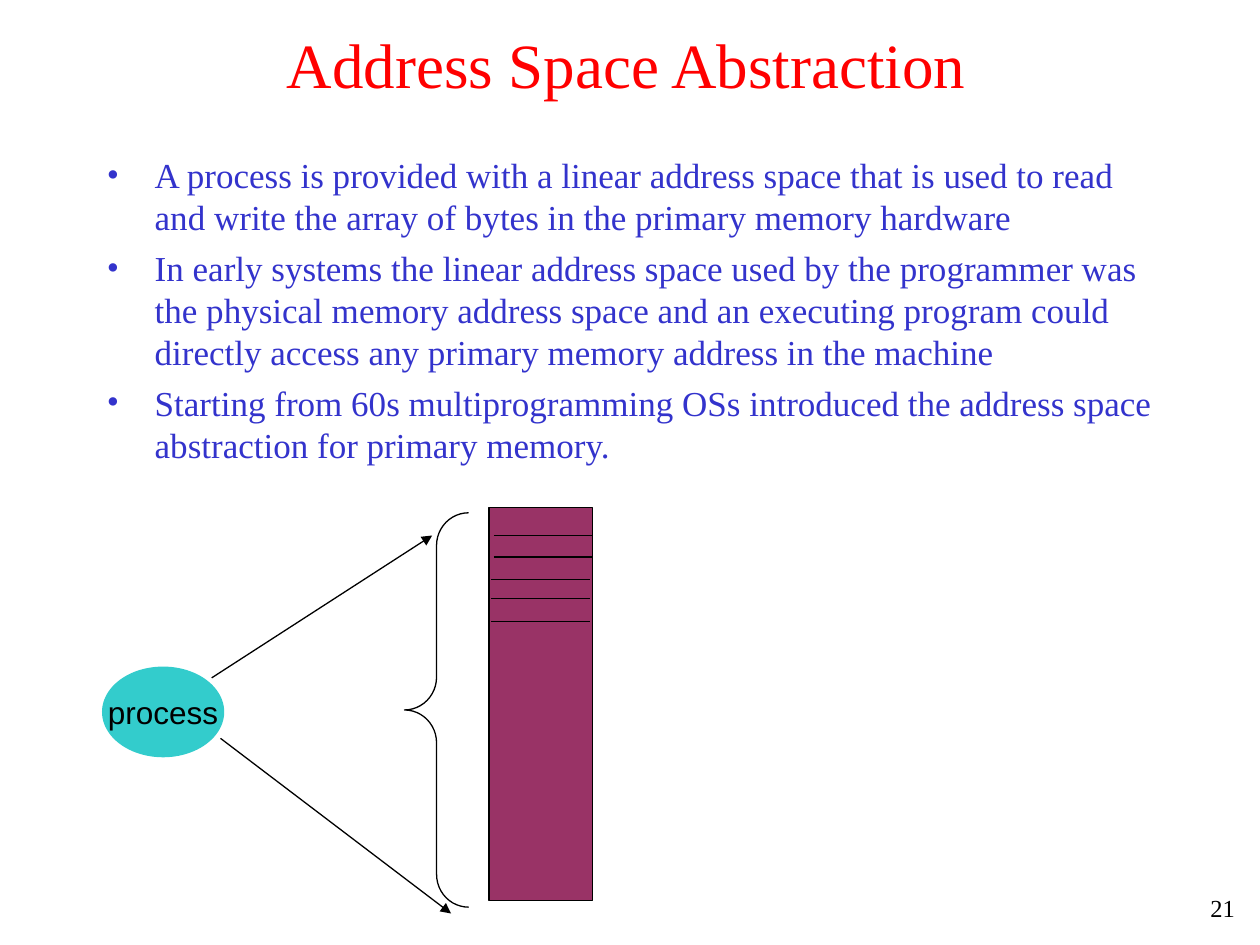
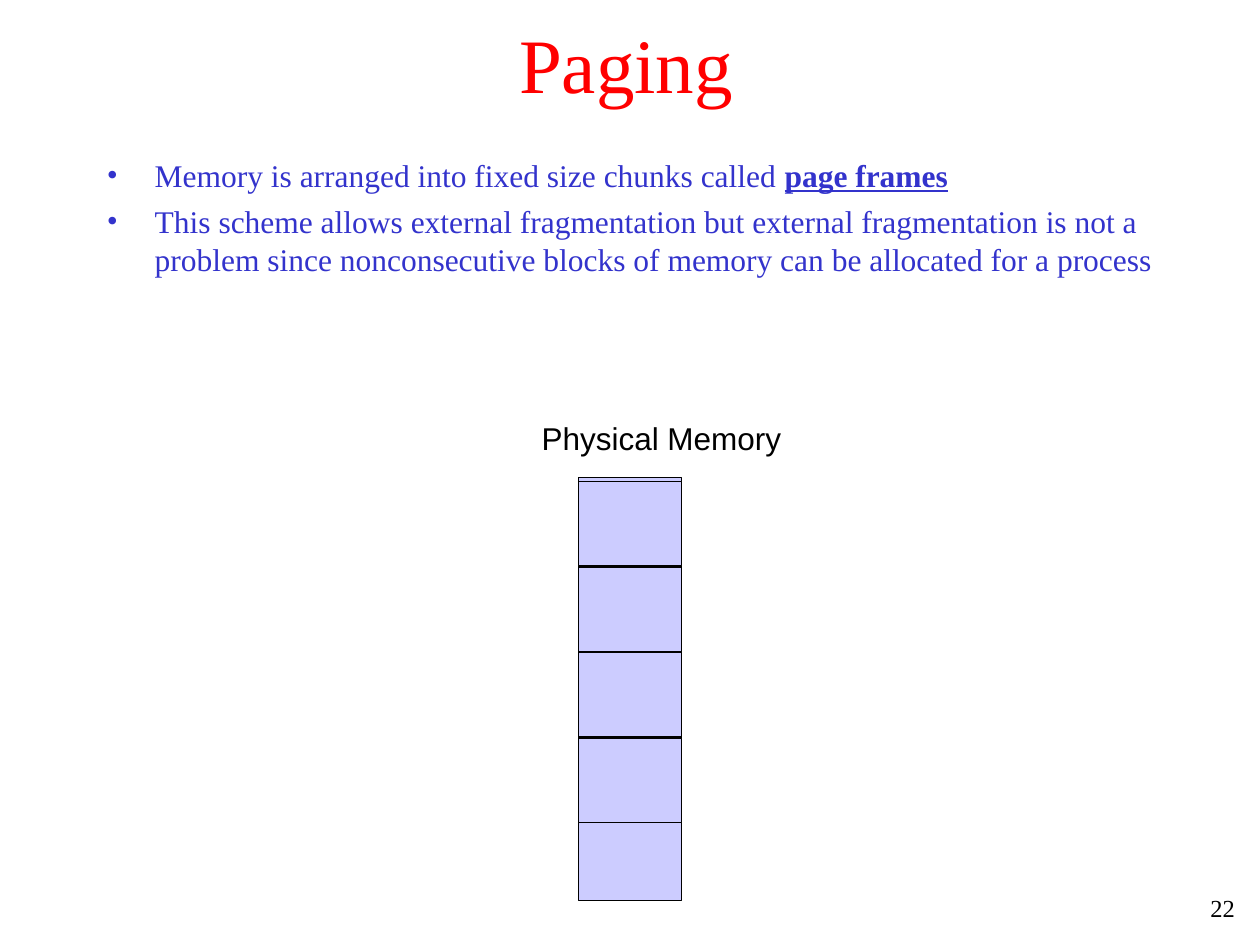
from lxml import etree
from pptx import Presentation
from pptx.dml.color import RGBColor
from pptx.enum import shapes, text
from pptx.oxml import ns
from pptx.util import Inches, Pt

RED = RGBColor(0xFF, 0x00, 0x00)
BLUE = RGBColor(0x33, 0x33, 0xCC)
BLACK = RGBColor(0x00, 0x00, 0x00)
PLUM = RGBColor(0x99, 0x33, 0x66)
TEAL = RGBColor(0x33, 0xCC, 0xCC)
LAVENDER = RGBColor(0xCC, 0xCC, 0xFF)
SERIF, SANS = "Times New Roman", "Arial"
LINE_WIDTH = Pt(0.75)
MEMORY_WIDTH = 0.82


def style(paragraph, font_name, size, color, align):
    paragraph.alignment = align
    paragraph.font.name = font_name
    paragraph.font.size = Pt(size)
    paragraph.font.color.rgb = color


def add_block(slide, preset, left, top, width, height, fill=None, outlined=True):
    """Add a flat preset shape; without a fill it is only an outline."""
    block = slide.shapes.add_shape(
        preset, Inches(left), Inches(top), Inches(width), Inches(height))
    block.shadow.inherit = False
    if fill is None:
        block.fill.background()
    else:
        block.fill.solid()
        block.fill.fore_color.rgb = fill
    if outlined:
        block.line.color.rgb = BLACK
        block.line.width = LINE_WIDTH
    else:
        block.line.fill.background()
    return block


prs = Presentation()
prs.slide_width, prs.slide_height = Inches(10), Inches(7.5)
title_only = prs.slide_layouts[5]

# Each bullet is a plain part and an emphasised part
pages = [
    dict(title="Address Space Abstraction", title_top=0.29, title_height=0.42,
         title_size=36, number="21", body_top=1.17, body_height=5.5, body_size=20,
         bullets=[
             ("A process is provided with a linear address space that is used to read "
              "and write the array of bytes in the primary memory hardware", ""),
             ("In early systems the linear address space used by the programmer was "
              "the physical memory address space and an executing program could "
              "directly access any primary memory address in the machine", ""),
             ("Starting from 60s multiprogramming OSs introduced the address space "
              "abstraction for primary memory.", "")]),
    dict(title="Paging", title_top=0, title_height=0.99,
         title_size=44, number="22", body_top=1.19, body_height=1.72, body_size=18,
         bullets=[
             ("Memory is arranged into fixed size chunks called ", "page frames"),
             ("This scheme allows external fragmentation but external fragmentation "
              "is not a problem since nonconsecutive blocks of memory can be "
              "allocated for a process", "")]),
]

# Titles, bullets and page numbers
for page in pages:
    slide = prs.slides.add_slide(title_only)
    title = slide.shapes.title
    title.left, title.top = Inches(0.72), Inches(page["title_top"])
    title.width, title.height = Inches(8.5), Inches(page["title_height"])
    title.text_frame.text = page["title"]
    title.text_frame.auto_size = text.MSO_AUTO_SIZE.NONE
    title.text_frame.vertical_anchor = text.MSO_ANCHOR.MIDDLE
    style(title.text_frame.paragraphs[0], SERIF, page["title_size"], RED,
          text.PP_ALIGN.CENTER)

    body = slide.shapes.add_textbox(
        Inches(0.75), Inches(page["body_top"]),
        Inches(8.5), Inches(page["body_height"])).text_frame
    body.word_wrap = True
    for index, (plain, emphasis) in enumerate(page["bullets"]):
        paragraph = body.add_paragraph() if index else body.paragraphs[0]
        properties = paragraph._p.get_or_add_pPr()
        properties.set("marL", str(Inches(0.38)))
        properties.set("indent", str(-Inches(0.38)))
        etree.SubElement(properties, ns.qn("a:buFont"), typeface=SERIF)
        etree.SubElement(properties, ns.qn("a:buChar"), char="•")
        paragraph.add_run().text = plain
        if emphasis:
            key_term = paragraph.add_run()
            key_term.text = emphasis
            key_term.font.bold = key_term.font.underline = True
        if index:
            paragraph.space_before = Pt(page["body_size"] / 4)
        style(paragraph, SERIF, page["body_size"], BLUE, text.PP_ALIGN.LEFT)

    number = slide.shapes.add_textbox(
        Inches(9.44), Inches(7.04), Inches(0.46), Inches(0.44)).text_frame
    number.word_wrap = True
    number.text = page["number"]
    style(number.paragraphs[0], SERIF, 14, BLACK, text.PP_ALIGN.RIGHT)

address_space, paging = prs.slides

# A process and the address space it sees
add_block(address_space, shapes.MSO_SHAPE.RECTANGLE, 3.88, 4.03, MEMORY_WIDTH, 3.12, PLUM)
process = add_block(address_space, shapes.MSO_SHAPE.OVAL, 0.81, 5.29, 0.97, 0.72,
                    TEAL, outlined=False)
process.text_frame.text = "process"
process.text_frame.word_wrap = False
process.text_frame.vertical_anchor = text.MSO_ANCHOR.MIDDLE
style(process.text_frame.paragraphs[0], SANS, 18, BLACK, text.PP_ALIGN.CENTER)
brace = add_block(address_space, shapes.MSO_SHAPE.LEFT_BRACE, 3.21, 4.07, 0.51, 3.13)
brace.adjustments[0], brace.adjustments[1] = 0.51, 0.5

range_arrows = [(1.68, 5.38, 3.43, 4.25), (1.75, 5.86, 3.58, 7.25)]
cell_lines = [(left, y, left + 0.78, y) for left, y in
              [(3.92, 4.25), (3.92, 4.42), (3.9, 4.6), (3.9, 4.75), (3.9, 4.93)]]
for ends in range_arrows + cell_lines:
    line = address_space.shapes.add_connector(
        shapes.MSO_CONNECTOR.STRAIGHT, *[Inches(value) for value in ends])
    line.line.color.rgb = BLACK
    line.line.width = LINE_WIDTH
    if ends in range_arrows:
        etree.SubElement(line.line._get_or_add_ln(), ns.qn("a:tailEnd"), type="triangle")
    etree.SubElement(line._element.spPr, ns.qn("a:effectLst"))

# Physical memory divided into page frames
add_block(paging, shapes.MSO_SHAPE.RECTANGLE, 4.59, 3.79, MEMORY_WIDTH, 3.36, LAVENDER)
for frame in range(4):
    add_block(paging, shapes.MSO_SHAPE.RECTANGLE, 4.59, 3.82 + 0.68 * frame,
              MEMORY_WIDTH, 0.67, LAVENDER)
memory_label = paging.shapes.add_textbox(
    Inches(4.2), Inches(3.28), Inches(2.1), Inches(0.4)).text_frame
memory_label.word_wrap = False
memory_label.auto_size = text.MSO_AUTO_SIZE.SHAPE_TO_FIT_TEXT
memory_label.text = "Physical Memory"
style(memory_label.paragraphs[0], SANS, 18, BLACK, text.PP_ALIGN.LEFT)

prs.save("out.pptx")
